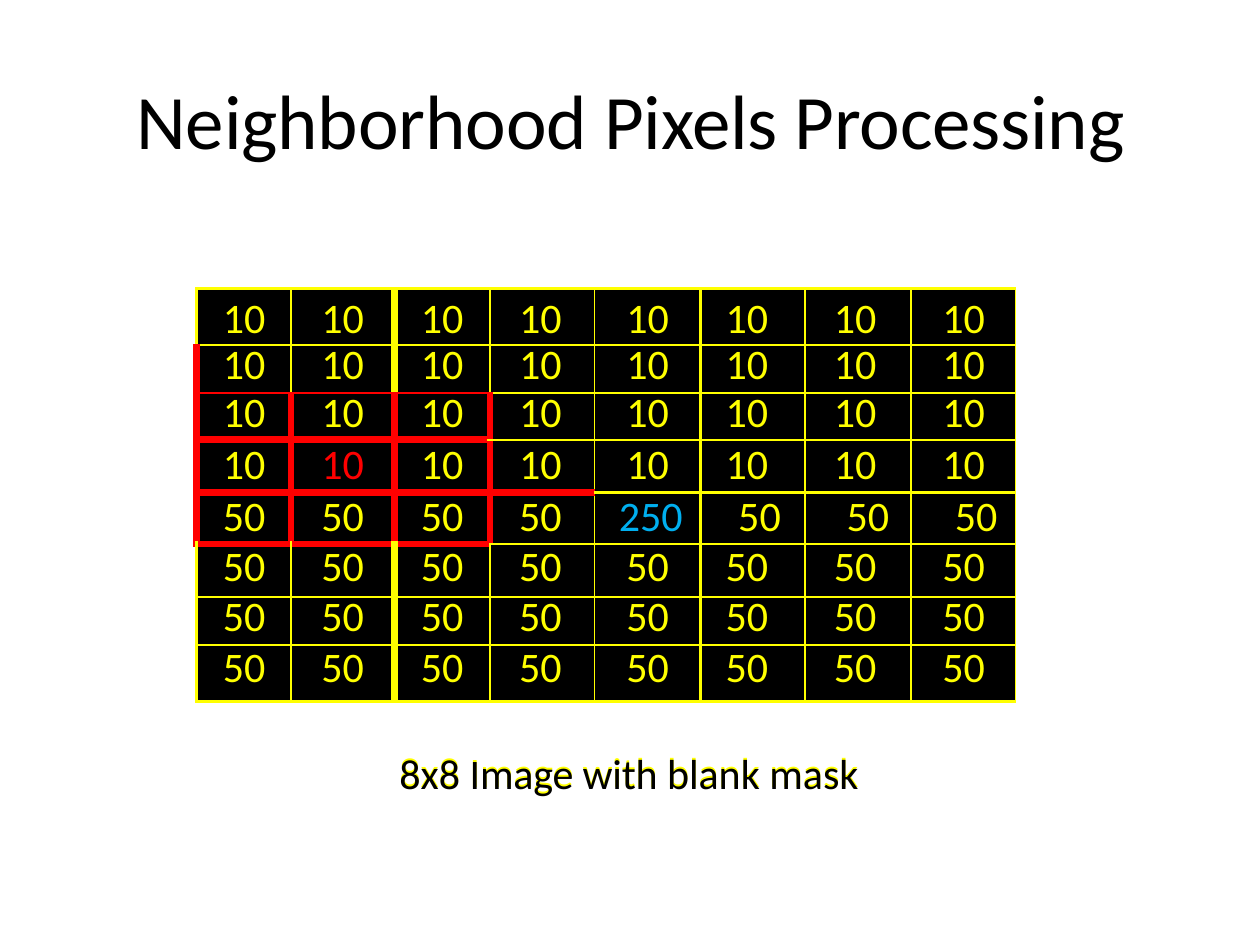
from dataclasses import dataclass
from typing import Optional

from lxml import etree
from pptx import Presentation
from pptx import util as u
from pptx.dml.color import RGBColor
from pptx.enum import text
from pptx.oxml.ns import qn

BLACK = RGBColor(0x00, 0x00, 0x00)
YELLOW = RGBColor(0xFF, 0xFF, 0x00)
RED = RGBColor(0xFF, 0x00, 0x00)
BLUE = RGBColor(0x00, 0xAF, 0xEF)
FONT = "Calibri"
SLIDE_WIDTH, SLIDE_HEIGHT = u.Inches(10), u.Inches(7.5)
THIN, MEDIUM, THICK = 1, 1.5, 4.25


@dataclass(frozen=True)
class Frame:
    """A place on the slide, in percent of its width and height."""
    left: float
    top: float
    width: float
    height: float

    def lengths(self) -> tuple[int, int, int, int]:
        return (int(SLIDE_WIDTH * self.left / 100), int(SLIDE_HEIGHT * self.top / 100),
                int(SLIDE_WIDTH * self.width / 100), int(SLIDE_HEIGHT * self.height / 100))


@dataclass(frozen=True)
class Span:
    words: str
    spacing: float = 0


@dataclass(frozen=True)
class Column:
    width: float
    indent: Optional[float]  # None centres the number


@dataclass(frozen=True)
class Row:
    height: float
    value: str
    leading: Optional[float] = None
    inset: float = 0


@dataclass(frozen=True)
class Edge:
    color: RGBColor
    width: float


TITLE = (Span("Neighborhood ", -0.1), Span("Pixels ", -0.2), Span("Processing", -0.1))
CAPTION = (Span("8x8 "), Span("Image with ", -0.1), Span("blank mask"))

COLUMNS = (
    Column(0.75, 0.21), Column(0.82, 0.24), Column(0.76, None), Column(0.83, 0.23),
    Column(0.84, None), Column(0.83, 0.2), Column(0.84, 0.23), Column(0.83, 0.25),
)
ROWS = (
    Row(0.45, "10", inset=0.04), Row(0.38, "10", 26.1), Row(0.37, "10", 25.9),
    Row(0.42, "10", 28, 0.02), Row(0.41, "50", 28.6), Row(0.42, "50", 27.6),
    Row(0.38, "50", 26.1), Row(0.45, "50", 28.1),
)
GRID_FRAME = Frame(15.6, 30.53, 65, 43.73)
COLUMN_LINES = (MEDIUM, MEDIUM, THICK, THIN, THIN, MEDIUM, MEDIUM, MEDIUM, THIN)
MASK_ROWS, MASK_COLUMNS = range(2, 5), range(3)
MASK_CENTER, BRIGHT_PIXEL = (3, 1), (4, 4)


def add_span(para, span: Span, size: float, color: RGBColor) -> None:
    run = para.add_run()
    run.text = span.words
    run.font.name = FONT
    run.font.size = u.Pt(size)
    run.font.color.rgb = color
    if span.spacing:
        run.font._element.set("spc", str(round(span.spacing * 100)))


def set_indent(para, inches: float) -> None:
    properties = para._p.get_or_add_pPr()
    properties.set("marL", str(u.Inches(inches)))
    properties.set("indent", "0")


def add_text(page, frame: Frame, spans: tuple[Span, ...], size: float, color: RGBColor,
             leading: Optional[float] = None, centered: bool = False) -> None:
    body = page.shapes.add_textbox(*frame.lengths()).text_frame
    body.word_wrap = True
    body.margin_left = body.margin_top = body.margin_right = body.margin_bottom = 0
    para = body.paragraphs[0]
    set_indent(para, 0.01)
    if centered:
        body.vertical_anchor = text.MSO_ANCHOR.MIDDLE
        para.alignment = text.PP_ALIGN.CENTER
    if leading:
        para.line_spacing = u.Pt(leading)
    for span in spans:
        add_span(para, span, size, color)


def column_edge(row: int, line: int) -> Edge:
    """The upright edge in a row; line 0 is the left side of the grid."""
    if row in MASK_ROWS and line <= len(MASK_COLUMNS) or (row, line) == (1, 0):
        return Edge(RED, THICK)
    return Edge(YELLOW, COLUMN_LINES[line])


def row_edge(line: int, column: int) -> Edge:
    """The level edge in a column; line 0 is the top of the grid."""
    if column in MASK_COLUMNS and line == MASK_ROWS.start:
        return Edge(RED, MEDIUM)
    if column in MASK_COLUMNS and line - 1 in MASK_ROWS or (line, column) == (4, 3):
        return Edge(RED, THICK)
    return Edge(YELLOW, MEDIUM)


def set_border(cell, side: str, edge: Edge) -> None:
    line = etree.SubElement(cell._tc.get_or_add_tcPr(), qn(f"a:ln{side}"),
                            w=str(u.Pt(edge.width)))
    fill = etree.SubElement(line, qn("a:solidFill"))
    etree.SubElement(fill, qn("a:srgbClr"), val=str(edge.color))


def fill_pixel(cell, row: int, column: int) -> None:
    borders = {"L": column_edge(row, column), "R": column_edge(row, column + 1),
               "T": row_edge(row, column), "B": row_edge(row + 1, column)}
    for side, edge in borders.items():
        set_border(cell, side, edge)
    cell.fill.solid()
    cell.fill.fore_color.rgb = BLACK
    cell.margin_left = cell.margin_right = cell.margin_bottom = 0
    cell.margin_top = u.Inches(ROWS[row].inset)

    para = cell.text_frame.paragraphs[0]
    bright = (row, column) == BRIGHT_PIXEL
    indent = COLUMNS[column].indent
    if indent is None:
        para.alignment = text.PP_ALIGN.CENTER
        set_indent(para, 0.05 if bright else 0)
    else:
        beyond_bright = row == BRIGHT_PIXEL[0] and column > BRIGHT_PIXEL[1]
        set_indent(para, indent + (0.1 if beyond_bright else 0))
    if ROWS[row].leading:
        para.line_spacing = u.Pt(ROWS[row].leading)
    color = BLUE if bright else RED if (row, column) == MASK_CENTER else YELLOW
    add_span(para, Span("250" if bright else ROWS[row].value), 24, color)


def add_pixel_grid(page) -> None:
    grid = page.shapes.add_table(len(ROWS), len(COLUMNS), *GRID_FRAME.lengths()).table
    grid.first_row = grid.horz_banding = False
    for line, column in zip(grid.columns, COLUMNS):
        line.width = u.Inches(column.width)
    for line, row in zip(grid.rows, ROWS):
        line.height = u.Inches(row.height)
    for row in range(len(ROWS)):
        for column in range(len(COLUMNS)):
            fill_pixel(grid.cell(row, column), row, column)


def main() -> None:
    deck = Presentation()
    deck.slide_width, deck.slide_height = SLIDE_WIDTH, SLIDE_HEIGHT
    page = deck.slides.add_slide(deck.slide_layouts[6])
    add_text(page, Frame(5, 4.2, 90, 16.67), TITLE, 44, BLACK, centered=True)
    add_text(page, Frame(31.6, 79.87, 36.8, 4.8), CAPTION, 24, YELLOW, 23.8)
    add_pixel_grid(page)
    add_text(page, Frame(31.6, 80, 36.8, 4.53), CAPTION, 24, BLACK, 23.8)
    deck.save("out.pptx")


if __name__ == "__main__":
    main()
